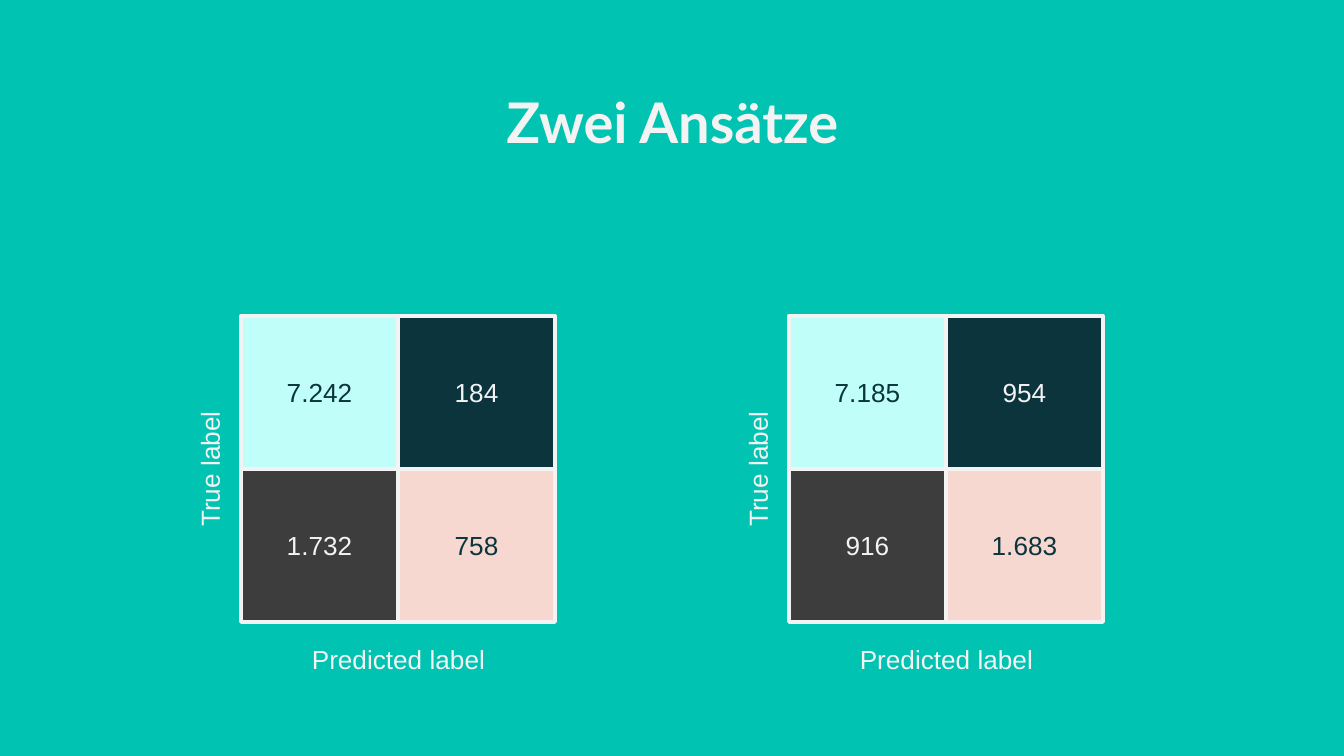
"""Build a slide that sets two confusion matrices side by side."""
from pptx import Presentation
from pptx.dml.color import RGBColor
from pptx.enum.shapes import MSO_SHAPE as Shape
from pptx.enum.text import MSO_ANCHOR as Anchor, MSO_AUTO_SIZE as Fit, PP_ALIGN as Align
from pptx.util import Emu, Pt

TEAL = RGBColor(0x00, 0xC3, 0xB1)
LIGHT = RGBColor(0xF3, 0xF3, 0xF3)
MINT = RGBColor(0xC0, 0xFF, 0xF9)
NAVY = RGBColor(0x0C, 0x34, 0x3D)
GREY = RGBColor(0x3D, 0x3D, 0x3D)
PINK = RGBColor(0xF7, 0xD8, 0xD1)

SCALE = 914400 / 134.4
CELL_W, CELL_H = 157, 153
STYLES = [[(MINT, NAVY), (NAVY, LIGHT)], [(GREY, LIGHT), (PINK, NAVY)]]


def px(*nums):
    return [Emu(round(n * SCALE)) for n in nums]


def write(shape, text, size=14, face="Arial", color=LIGHT, bold=False, anchor=Anchor.MIDDLE):
    frame = shape.text_frame
    frame.word_wrap = True
    frame.auto_size = Fit.NONE
    frame.vertical_anchor = anchor
    frame.text = text
    para = frame.paragraphs[0]
    para.alignment = Align.CENTER
    font = para.runs[0].font
    font.size, font.name, font.bold = Pt(size), face, bold
    font.color.rgb = color


def add_title(slide, text):
    title = slide.shapes.title
    title.left, title.top, title.width, title.height = px(106, 75, 1133, 85)
    frame = title.text_frame
    frame.margin_left, frame.margin_top, frame.margin_right, frame.margin_bottom = px(13, 13, 13, 13)
    write(title, text, size=30, face="Lato", bold=True, anchor=Anchor.TOP)


def add_cell(slide, left, top, text, fill, color):
    cell = slide.shapes.add_shape(Shape.RECTANGLE, *px(left, top, CELL_W, CELL_H))
    cell.shadow.inherit = False
    cell.fill.solid()
    cell.fill.fore_color.rgb = fill
    cell.line.color.rgb = LIGHT
    cell.line.width = Pt(2)
    write(cell, text, color=color)


def add_label(slide, left, top, text, turn=0):
    label = slide.shapes.add_textbox(*px(left, top, 219, 46))
    label.rotation = turn
    write(label, text)


def add_matrix(slide, left, top, rows):
    for r, row in enumerate(rows):
        for c, text in enumerate(row):
            add_cell(slide, left + c * CELL_W, top + r * CELL_H, text, *STYLES[r][c])
    add_label(slide, left + 48, top + 320, "Predicted label")
    add_label(slide, left - 141, top + 130, "True label", turn=270)


def main():
    deck = Presentation()
    deck.slide_width, deck.slide_height = px(1344, 756)
    slide = deck.slides.add_slide(deck.slide_layouts[5])
    back = slide.background.fill
    back.solid()
    back.fore_color.rgb = TEAL
    add_title(slide, "Zwei Ansätze")
    add_matrix(slide, 241, 316, [["7.242", "184"], ["1.732", "758"]])
    add_matrix(slide, 789, 316, [["7.185", "954"], ["916", "1.683"]])
    deck.save("out.pptx")


if __name__ == "__main__":
    main()
